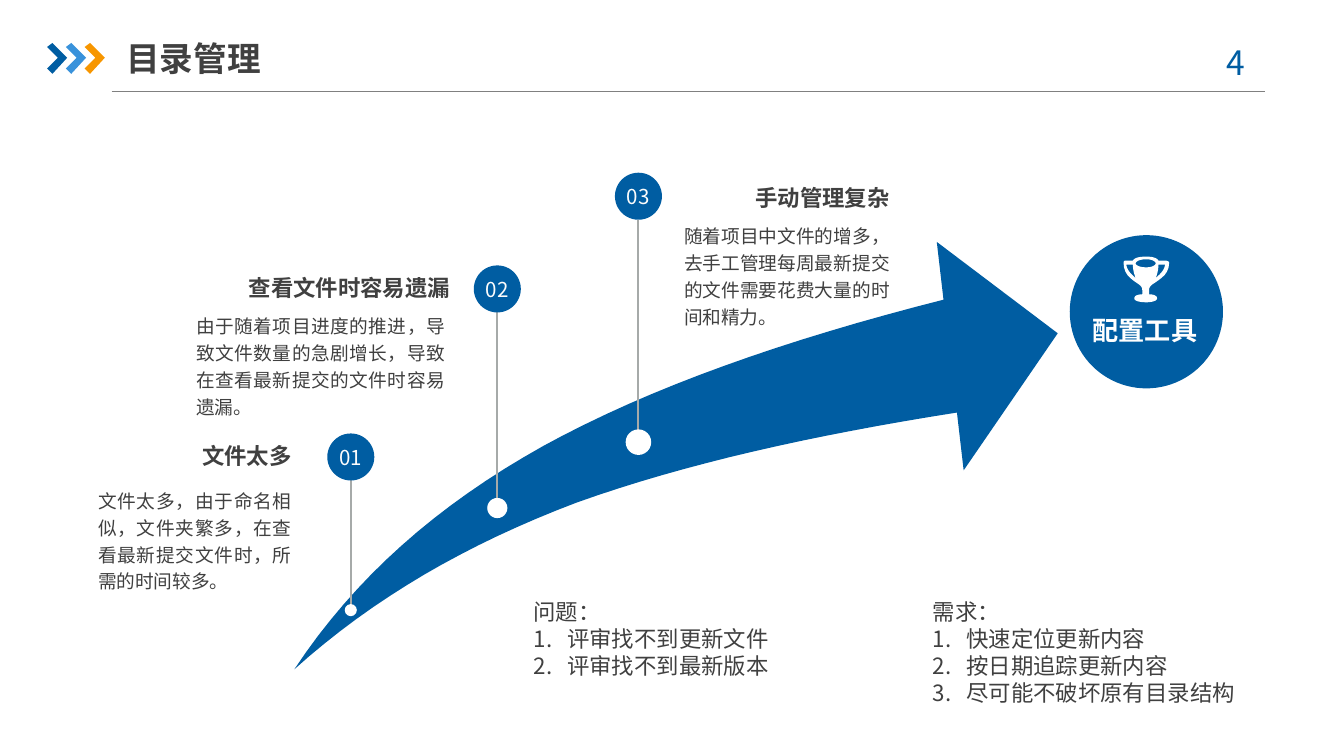
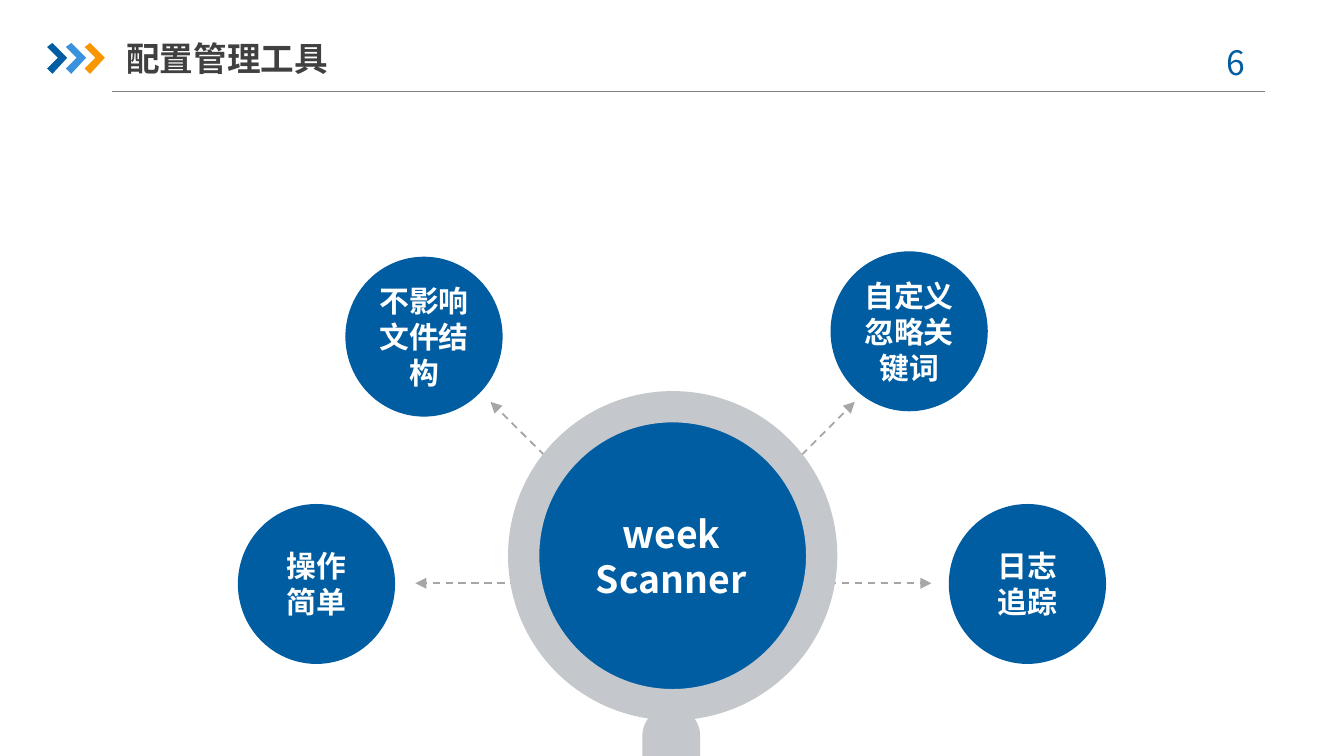
from dataclasses import dataclass

from lxml.etree import SubElement
from pptx import Presentation
from pptx.dml.color import RGBColor
from pptx.enum.dml import MSO_LINE_DASH_STYLE as Dash
from pptx.enum.shapes import MSO_CONNECTOR as Connector
from pptx.enum.shapes import MSO_SHAPE as Preset
from pptx.enum.text import MSO_ANCHOR as Anchor
from pptx.enum.text import MSO_AUTO_SIZE as AutoSize
from pptx.enum.text import PP_ALIGN as Align
from pptx.oxml import parse_xml
from pptx.oxml.ns import nsdecls, qn
from pptx.shapes.connector import Connector as ConnectorShape
from pptx.util import Inches, Pt


@dataclass(frozen=True)
class Theme:
    """Colours, typeface and type sizes shared by the slides."""
    blue: RGBColor = RGBColor.from_string("005DA2")
    sky: RGBColor = RGBColor.from_string("3992DB")
    orange: RGBColor = RGBColor.from_string("F79600")
    ink: RGBColor = RGBColor.from_string("404040")
    white: RGBColor = RGBColor.from_string("FFFFFF")
    number: RGBColor = RGBColor.from_string("FCFCFC")
    rule: RGBColor = RGBColor.from_string("808080")
    stem: RGBColor = RGBColor.from_string("A6AAA9")
    ray: RGBColor = RGBColor.from_string("A6A6A6")
    ring: RGBColor = RGBColor.from_string("C4C7CB")
    font: str = "Noto Sans CJK SC"
    title_size: int = 18
    hub_size: int = 20
    feature_size: int = 16
    goal_size: int = 14
    heading_size: int = 12
    number_size: int = 11
    body_size: int = 10


theme = Theme()


def write_text(shape, lines, size, color, bold=False, align=Align.LEFT,
               anchor=Anchor.TOP, insets=(0, 0), before=0, spacing=1.0):
    """Fill a shape with paragraphs that share one format."""
    frame = shape.text_frame
    frame.text = "\n".join(lines)
    frame.word_wrap = True
    frame.auto_size = AutoSize.NONE
    frame.vertical_anchor = anchor
    frame.margin_left = frame.margin_right = Inches(insets[0])
    frame.margin_top = frame.margin_bottom = Inches(insets[1])
    for paragraph in frame.paragraphs:
        paragraph.alignment = align
        paragraph.space_before = Pt(before)
        paragraph.line_spacing = spacing
        font = paragraph.font
        font.size = Pt(size)
        font.bold = bold
        font.color.rgb = color
        font.name = theme.font
        SubElement(font._element, qn("a:ea")).set("typeface", theme.font)


def draw_outline(slide, contours, color, steps=16):
    """Draw closed contours: pairs are corners, sextuples Bezier curves."""
    builder = None
    for start, *segments in contours:
        points, pen = [], start
        for segment in segments:
            if len(segment) == 2:
                points.append(segment)
            else:
                x1, y1, x2, y2, x3, y3 = segment
                for step in range(1, steps + 1):
                    t = step / steps
                    u = 1 - t
                    a, b, c, d = u**3, 3 * u * u * t, 3 * u * t * t, t**3
                    points.append((a * pen[0] + b * x1 + c * x2 + d * x3,
                                   a * pen[1] + b * y1 + c * y2 + d * y3))
            pen = segment[-2:]
        origin = Inches(start[0]), Inches(start[1])
        if builder is None:
            builder = slide.shapes.build_freeform(*origin)
        else:
            builder.move_to(*origin)
        builder.add_line_segments([(Inches(x), Inches(y)) for x, y in points])
    shape = builder.convert_to_shape()
    shape.fill.solid()
    shape.fill.fore_color.rgb = color


presentation = Presentation()
presentation.slide_width = Inches(10)
presentation.slide_height = Inches(10) * 9 // 16
two_content, title_only = (presentation.slide_layouts[i] for i in (3, 5))

# Shared header: rule, three chevrons, page number and title
slides = []
for layout, title, page in ((two_content, "目录管理", "4"),
                            (title_only, "配置管理工具", "6")):
    slide = presentation.slides.add_slide(layout)
    slides.append(slide)
    rule = slide.shapes.add_connector(
        Connector.STRAIGHT, Inches(0.83), Inches(0.68), Inches(9.41), Inches(0.68))
    rule.line.color.rgb = theme.rule
    rule.line.width = Pt(0.75)
    for index, color in enumerate((theme.blue, theme.sky, theme.orange)):
        left = 0.35 + 0.14 * index
        chevron = [(left, 0.35), (left + 0.04, 0.32), (left + 0.15, 0.43),
                   (left + 0.04, 0.55), (left, 0.51), (left + 0.08, 0.43)]
        draw_outline(slide, [chevron], color)
    page_box = slide.shapes.add_textbox(
        Inches(8.83), Inches(0.26), Inches(0.73), Inches(0.4))
    write_text(page_box, [page], theme.title_size, theme.blue,
               align=Align.CENTER, insets=(0.1, 0.05))
    heading = slide.shapes.title
    heading.left, heading.top = Inches(0.94), Inches(0.22)
    heading.width, heading.height = Inches(2.33), Inches(0.42)
    write_text(heading, [title], theme.title_size, theme.ink, bold=True,
               anchor=Anchor.MIDDLE, insets=(0, 0.05))

path_slide, tool_slide = slides

# Slide 1: the rising arrow with its milestones
arrow = [(2.19, 4.98), (2.64, 4.3, 3.25, 3.76, 4.04, 3.32),
         (4.84, 2.88, 5.84, 2.53, 7.02, 2.23), (6.97, 1.8), (7.87, 2.48),
         (7.17, 3.5), (7.12, 3.07), (6.04, 3.24, 5.1, 3.45, 4.29, 3.74),
         (3.47, 4.05, 2.78, 4.45, 2.19, 4.98)]
draw_outline(path_slide, [arrow], theme.blue)

badge_size = 0.35
milestones = (  # centre x, badge y, dot y, dot size
    (2.61, 3.4, 4.54, 0.09), (3.7, 2.15, 3.78, 0.15), (4.75, 1.46, 3.29, 0.19))
for number, (x, badge_y, dot_y, dot_size) in enumerate(milestones, 1):
    stem = path_slide.shapes.add_connector(
        Connector.STRAIGHT, Inches(x), Inches(dot_y),
        Inches(x), Inches(badge_y + badge_size / 2))
    stem.line.color.rgb = theme.stem
    stem.line.width = Pt(1)
    for y, size, color, label in ((badge_y, badge_size, theme.blue, f"{number:02}"),
                                  (dot_y, dot_size, theme.white, "")):
        circle = path_slide.shapes.add_shape(
            Preset.OVAL, Inches(x - size / 2), Inches(y - size / 2),
            Inches(size), Inches(size))
        circle.fill.solid()
        circle.fill.fore_color.rgb = color
        if label:
            write_text(circle, [label], theme.number_size, theme.number,
                       align=Align.CENTER, anchor=Anchor.MIDDLE)

notes = (  # left, heading top, heading width, body width, gap, space before, texts
    (0.73, 3.23, 1.44, 1.44, 0.38, 2.4, "文件太多",
     "文件太多，由于命名相似，文件夹繁多，在查看最新提交文件时，所需的时间较多。"),
    (1.46, 1.98, 1.89, 1.85, 0.33, 10, "查看文件时容易遗漏",
     "由于随着项目进度的推进，导致文件数量的急剧增长，导致在查看最新提交的文件时容易遗漏。"),
    (5.09, 1.31, 1.53, 1.53, 0.33, 10, "手动管理复杂",
     "随着项目中文件的增多，去手工管理每周最新提交的文件需要花费大量的时间和精力。"))
for left, top, heading_width, body_width, gap, before, heading, body in notes:
    heading_box = path_slide.shapes.add_textbox(
        Inches(left), Inches(top), Inches(heading_width), Inches(0.34))
    write_text(heading_box, [heading], theme.heading_size, theme.ink, bold=True,
               align=Align.RIGHT, anchor=Anchor.MIDDLE, before=before, spacing=0.9)
    body_box = path_slide.shapes.add_textbox(
        Inches(left), Inches(top + gap), Inches(body_width), Inches(0.51))
    write_text(body_box, [body], theme.body_size, theme.ink,
               align=Align.JUSTIFY, before=before, spacing=1.2)

# The goal: a disc with a trophy and a label
goal = path_slide.shapes.add_shape(
    Preset.OVAL, Inches(7.96), Inches(1.75), Inches(1.14), Inches(1.14))
goal.fill.solid()
goal.fill.fore_color.rgb = theme.blue
left_handle = [(8.38, 1.97), (8.43, 1.97), (8.43, 2.01, 8.44, 2.04, 8.45, 2.07),
               (8.42, 2.04, 8.39, 2.02, 8.38, 1.97)]
right_handle = [(8.6, 2.07), (8.61, 2.04, 8.62, 2.01, 8.62, 1.97), (8.67, 1.97),
                (8.66, 2.02, 8.63, 2.04, 8.6, 2.07)]
rim = [(8.53, 1.93), (8.58, 1.93, 8.6, 1.95, 8.6, 1.96),
       (8.6, 1.97, 8.58, 1.99, 8.53, 1.99), (8.47, 1.99, 8.45, 1.97, 8.45, 1.96),
       (8.45, 1.95, 8.47, 1.93, 8.53, 1.93)]
cup = [(8.55, 2.16), (8.55, 2.13, 8.57, 2.12, 8.6, 2.1),
       (8.64, 2.07, 8.7, 2.04, 8.7, 1.95), (8.68, 1.94), (8.62, 1.94),
       (8.61, 1.92, 8.58, 1.91, 8.53, 1.91), (8.47, 1.91, 8.44, 1.92, 8.43, 1.94),
       (8.37, 1.94), (8.36, 1.95), (8.36, 2.04, 8.41, 2.07, 8.45, 2.1),
       (8.48, 2.12, 8.5, 2.13, 8.5, 2.16), (8.5, 2.19),
       (8.47, 2.19, 8.44, 2.2, 8.44, 2.22), (8.44, 2.24, 8.48, 2.25, 8.53, 2.25),
       (8.57, 2.25, 8.61, 2.24, 8.61, 2.22), (8.61, 2.2, 8.58, 2.19, 8.55, 2.19)]
draw_outline(path_slide, [cup, left_handle, rim, right_handle], theme.white, steps=6)
goal_label = path_slide.shapes.add_textbox(
    Inches(8.1), Inches(2.3), Inches(0.84), Inches(0.34))
write_text(goal_label, ["配置工具"], theme.goal_size, theme.white, bold=True,
           align=Align.CENTER, anchor=Anchor.MIDDLE, before=10, spacing=0.9)

# Numbered lists below the arrow
lists = ((1, 3.87, 0.71, ["问题：", "评审找不到更新文件", "评审找不到最新版本"]),
         (2, 6.84, 0.91, ["需求：", "快速定位更新内容", "按日期追踪更新内容",
                          "尽可能不破坏原有目录结构"]))
for index, left, height, lines in lists:
    body = path_slide.placeholders[index]
    body.left, body.top = Inches(left), Inches(4.4)
    body.width, body.height = Inches(2.91), Inches(height)
    write_text(body, lines, theme.heading_size, theme.ink, insets=(0.1, 0.05))
    for position, paragraph in enumerate(body.text_frame.paragraphs):
        indent = Inches(0.25) if position else 0
        bullet = 'buAutoNum type="arabicPeriod"' if position else "buNone"
        name, *kind = bullet.split()
        properties = paragraph._p.get_or_add_pPr()
        properties.set("marL", str(indent))
        properties.set("indent", str(-indent))
        paragraph.font._element.addprevious(
            parse_xml(f"<a:{name} {nsdecls('a')} {' '.join(kind)}/>"))

# Slide 2: a hub with four features around it
for x, y in ((3.09, 4.34), (6.93, 4.34), (3.65, 2.99), (6.36, 2.99)):
    ray = tool_slide.shapes.add_connector(
        Connector.STRAIGHT, Inches(5.01), Inches(4.34), Inches(x), Inches(y))
    ray.line.color.rgb = theme.ray
    ray.line.width = Pt(1)
    ray.line.dash_style = Dash.DASH
    SubElement(ray.line._get_or_add_ln(), qn("a:tailEnd")).set("type", "triangle")

discs = (  # preset, left, top, width, height, fill, lines, type size
    (Preset.OVAL, 3.97, 3.11, 2.05, 2.05, theme.blue, ["week", "Scanner"], theme.hub_size),
    (Preset.DONUT, 3.78, 2.91, 2.45, 2.45, theme.ring, [], 0),
    (Preset.ROUNDED_RECTANGLE, 4.78, 5.26, 0.43, 0.88, theme.ring, [], 0),
    (Preset.OVAL, 1.77, 3.75, 1.17, 1.19, theme.blue, ["操作", "简单"], theme.feature_size),
    (Preset.OVAL, 2.57, 1.91, 1.17, 1.19, theme.blue, ["不影响", "文件结构"], theme.feature_size),
    (Preset.OVAL, 6.18, 1.87, 1.17, 1.19, theme.blue, ["自定义忽略关键词"], theme.feature_size),
    (Preset.OVAL, 7.06, 3.75, 1.17, 1.19, theme.blue, ["日志", "追踪"], theme.feature_size))
for preset, left, top, width, height, color, lines, size in discs:
    disc = tool_slide.shapes.add_shape(
        preset, Inches(left), Inches(top), Inches(width), Inches(height))
    disc.fill.solid()
    disc.fill.fore_color.rgb = color
    if preset == Preset.DONUT:
        disc.adjustments[0] = 0.095
    elif preset == Preset.ROUNDED_RECTANGLE:
        disc.adjustments[0] = 0.5
    if lines:
        write_text(disc, lines, size, theme.white, bold=True,
                   align=Align.CENTER, anchor=Anchor.MIDDLE, insets=(0.05, 0))

# Nothing casts a shadow, and only connectors have a line
for slide in slides:
    for shape in slide.shapes:
        if isinstance(shape, ConnectorShape):
            SubElement(shape._element.spPr, qn("a:effectLst"))
        else:
            shape.shadow.inherit = False
            shape.line.fill.background()

presentation.save("out.pptx")
